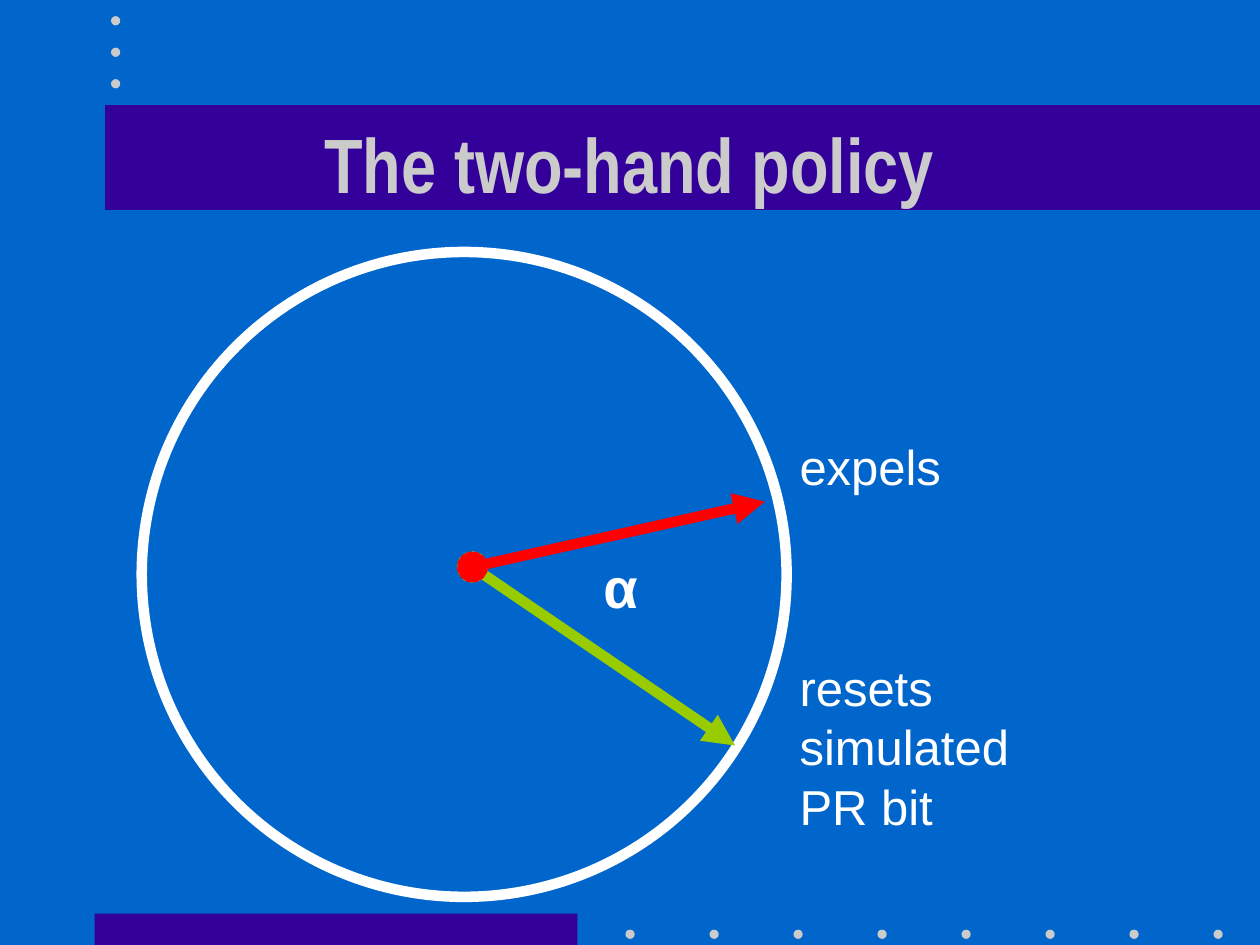
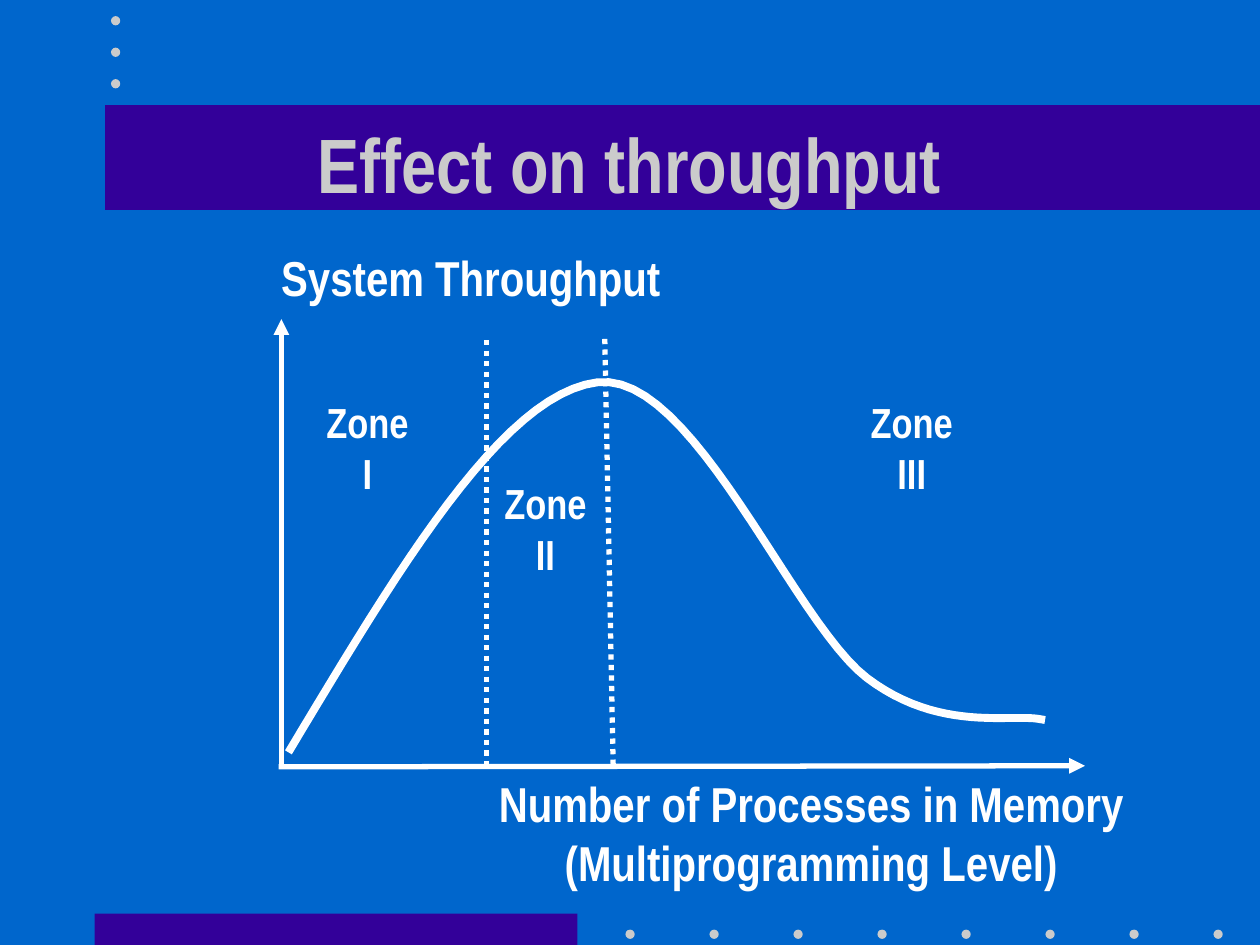
import dataclasses

import lxml.etree
import pptx
import pptx.dml.color
import pptx.enum.dml
import pptx.enum.shapes
import pptx.enum.text
import pptx.oxml.ns
import pptx.util

Pt = pptx.util.Pt
SHAPE = pptx.enum.shapes.MSO_SHAPE
ALIGN = pptx.enum.text.PP_ALIGN
ANCHOR = pptx.enum.text.MSO_ANCHOR


@dataclasses.dataclass(frozen=True)
class Theme:
    background: str = "0066CC"
    band: str = "330099"
    accent: str = "CBCBCB"
    ink: str = "FFFFFF"
    expel_hand: str = "FF0000"
    reset_hand: str = "99CC00"
    plain_font: str = "Arial"
    narrow_font: str = "Arial Narrow"
    title_size: int = 44
    symbol_size: int = 32
    label_size: int = 28
    zone_size: int = 24
    leading: float = 1.21
    dot_size: float = 5.3
    thick: float = 6
    curve: float = 4.5
    thin: float = 3


def rgb(color):
    return pptx.dml.color.RGBColor.from_string(color)


def square_ends(line):
    line._get_or_add_ln().set("cap", "sq")


def bezier(start, segments, steps=24):
    """Return points along a chain of cubic curves (control, control, end)."""
    points = [start]
    for first, second, end in segments:
        for step in range(1, steps + 1):
            t = step / steps
            u = 1 - t
            points.append(tuple(
                u**3 * a + 3 * u * u * t * b + 3 * u * t * t * c + t**3 * d
                for a, b, c, d in zip(start, first, second, end)))
        start = end
    return points


class Deck:
    def __init__(self, theme):
        self.theme = theme
        self.presentation = pptx.Presentation()
        self.presentation.slide_width = Pt(720)
        self.presentation.slide_height = Pt(540)
        self.slide = None

    def new_slide(self, title):
        theme = self.theme
        self.slide = self.presentation.slides.add_slide(
            self.presentation.slide_layouts[6])
        background = self.slide.background.fill
        background.solid()
        background.fore_color.rgb = rgb(theme.background)
        self.shape(SHAPE.RECTANGLE, 54, 522, 276, 18, fill=theme.band)
        self.shape(SHAPE.RECTANGLE, 60, 60, 660, 60, fill=theme.band)
        for column in range(8):
            self.dot(357.4 + 48 * column, 531.2)
        for row in range(3):
            self.dot(63.4, 9.2 + 18 * row)
        self.text(title, 54, 48, 612, 90, theme.title_size,
                  color=theme.accent, align=ALIGN.CENTER, anchor=ANCHOR.MIDDLE)

    def shape(self, kind, left, top, width, height, fill=None, line=None,
              weight=0):
        shape = self.slide.shapes.add_shape(
            kind, Pt(left), Pt(top), Pt(width), Pt(height))
        self.paint(shape, fill, line, weight)

    def paint(self, shape, fill, line, weight):
        shape.shadow.inherit = False
        if fill:
            shape.fill.solid()
            shape.fill.fore_color.rgb = rgb(fill)
        else:
            shape.fill.background()
        if line:
            shape.line.color.rgb = rgb(line)
            shape.line.width = Pt(weight)
        else:
            shape.line.fill.background()

    def dot(self, left, top):
        size = self.theme.dot_size
        self.shape(SHAPE.OVAL, left, top, size, size, fill=self.theme.accent)

    def line(self, start, end, color, weight, head=None, tail=None, dash=None):
        connector = self.slide.shapes.add_connector(
            pptx.enum.shapes.MSO_CONNECTOR.STRAIGHT,
            *(Pt(value) for value in (*start, *end)))
        connector.line.color.rgb = rgb(color)
        connector.line.width = Pt(weight)
        if dash:
            connector.line.dash_style = dash
        else:
            square_ends(connector.line)
        qn = pptx.oxml.ns.qn
        properties = connector.line._get_or_add_ln()
        for tag, ending in (("a:headEnd", head), ("a:tailEnd", tail)):
            if ending:
                lxml.etree.SubElement(properties, qn(tag), type=ending)
        lxml.etree.SubElement(connector._element.spPr, qn("a:effectLst"))

    def curve(self, points, color, weight):
        scaled = [(Pt(x), Pt(y)) for x, y in points]
        builder = self.slide.shapes.build_freeform(*scaled[0])
        builder.add_line_segments(scaled[1:], close=False)
        outline = builder.convert_to_shape()
        self.paint(outline, None, color, weight)
        square_ends(outline.line)

    def text(self, words, left, top, width, height, size, font=None,
             color=None, bold=True, align=ALIGN.LEFT, anchor=ANCHOR.TOP):
        box = self.slide.shapes.add_textbox(
            Pt(left), Pt(top), Pt(width), Pt(height))
        frame = box.text_frame
        frame.word_wrap = False
        frame.vertical_anchor = anchor
        frame.text = words
        for paragraph in frame.paragraphs:
            paragraph.alignment = align
            paragraph.line_spacing = Pt(round(size * self.theme.leading, 1))
            for run in paragraph.runs:
                run.font.size = Pt(size)
                run.font.name = font or self.theme.narrow_font
                run.font.bold = bold
                run.font.color.rgb = rgb(color or self.theme.ink)


def two_hand_policy(deck):
    theme = deck.theme
    deck.new_slide("The two-hand policy")
    deck.shape(SHAPE.OVAL, 81, 144, 368.5, 368.5,
               line=theme.ink, weight=theme.thick)
    pivot = (270, 324)
    for tip, color in (((420, 426), theme.reset_hand),
                       ((437, 286.7), theme.expel_hand)):
        deck.line(pivot, tip, color, theme.thick, head="oval", tail="triangle")
    for words, top, width, height in (
            ("resets\nsimulated\nPR bit", 372, 134, 108),
            ("expels", 245.5, 95, 41)):
        deck.text(words, 449.8, top, width, height, theme.label_size,
                  font=theme.plain_font, bold=False)
    deck.text("α", 337.7, 312, 34, 46, theme.symbol_size,
              font=theme.plain_font)


def effect_on_throughput(deck):
    theme = deck.theme
    deck.new_slide("Effect on throughput")
    origin = (160.8, 438.2)
    for axis_end in ((160.8, 182.4), (620, 437.6)):
        deck.line(origin, axis_end, theme.ink, theme.thin, tail="triangle")
    deck.text("System Throughput", 153.6, 137.5, 231, 41, theme.label_size)
    deck.text("Number of Processes in Memory\n(Multiprogramming Level)",
              278, 438.2, 371, 75, theme.label_size, align=ALIGN.CENTER)
    throughput = bezier((166, 428), [
        ((226.8, 326.9), (286.6, 225.4), (341.3, 218.5)),
        ((396, 211.7), (452.9, 355), (495.4, 387.4)),
        ((537.1, 419), (578.2, 407.5), (595, 411.1))])
    deck.curve(throughput, theme.ink, theme.curve)
    for top, foot in (((278, 194.4), (278, 438.2)),
                      ((345.6, 193.7), (350.4, 438))):
        deck.line(top, foot, theme.ink, theme.thin,
                  dash=pptx.enum.dml.MSO_LINE.ROUND_DOT)
    for number, center, top in (("I", 210, 223), ("II", 311.7, 269.3),
                                ("III", 521, 223)):
        deck.text("Zone\n" + number, center - 36, top, 72, 65,
                  theme.zone_size, align=ALIGN.CENTER)


def main():
    deck = Deck(Theme())
    two_hand_policy(deck)
    effect_on_throughput(deck)
    deck.presentation.save("out.pptx")


if __name__ == "__main__":
    main()
